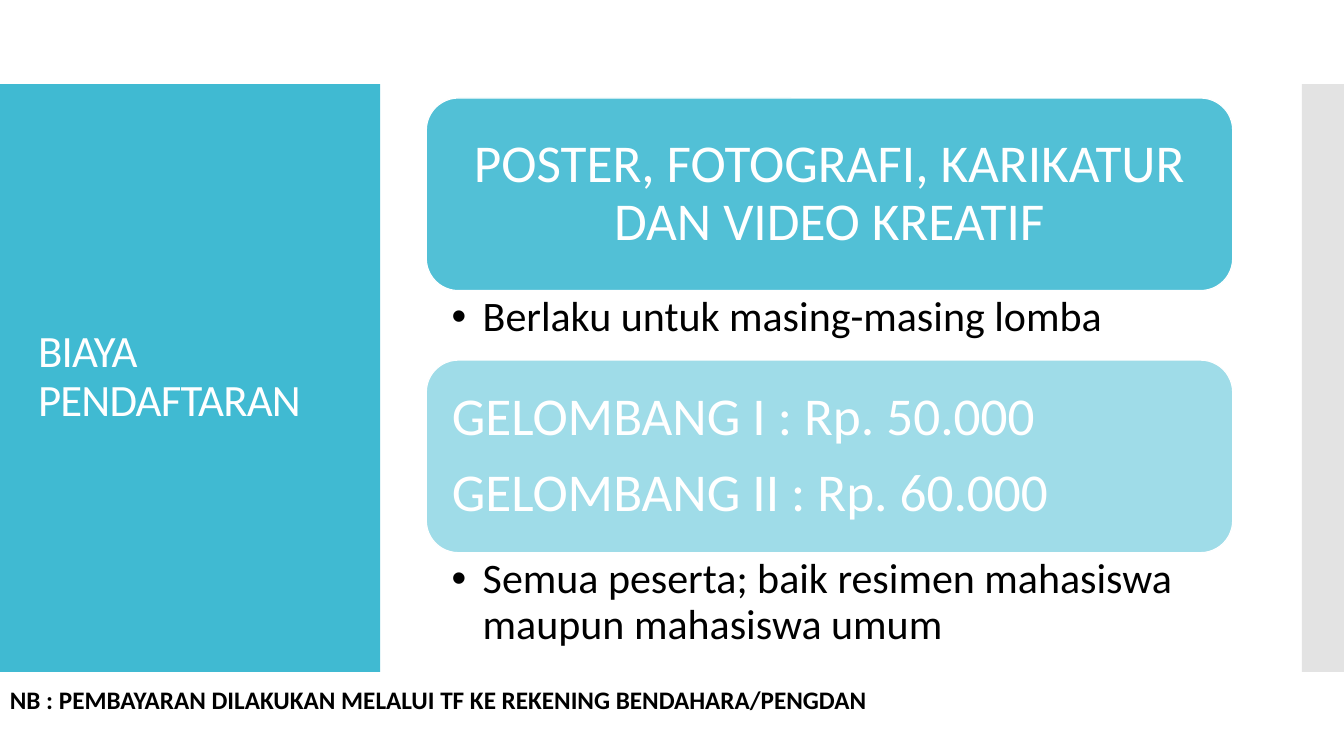
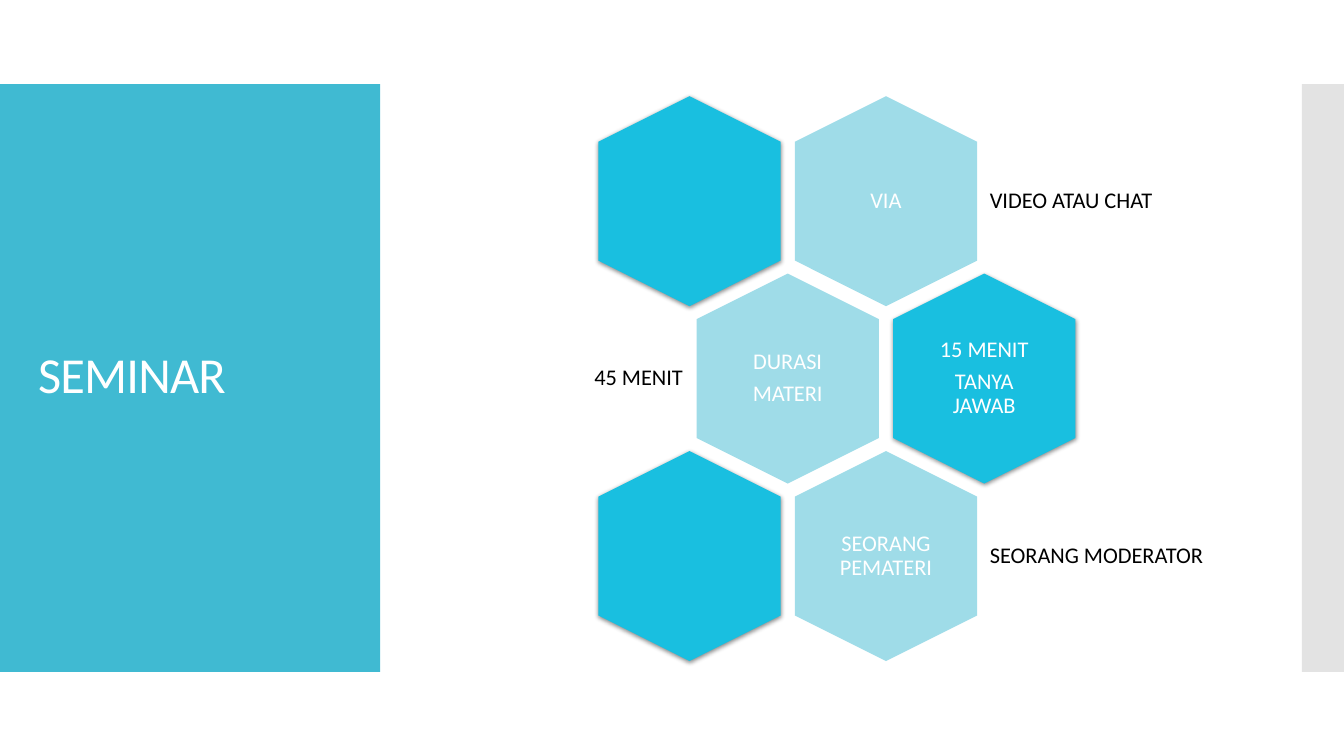
from lxml import etree
from pptx import Presentation
from pptx.dml.color import RGBColor
from pptx.enum.shapes import MSO_SHAPE
from pptx.enum.text import MSO_ANCHOR, PP_ALIGN
from pptx.oxml.ns import qn
from pptx.util import Inches, Pt

RECT, ROUND, HEX = MSO_SHAPE.RECTANGLE, MSO_SHAPE.ROUNDED_RECTANGLE, MSO_SHAPE.HEXAGON
TOP, MIDDLE = MSO_ANCHOR.TOP, MSO_ANCHOR.MIDDLE
LEFT, CENTER, RIGHT = PP_ALIGN.LEFT, PP_ALIGN.CENTER, PP_ALIGN.RIGHT
COLORS = {"teal": "40BAD2", "cyan": "19BFE0", "gray": "C8C8C8",
          "white": "FFFFFF", "black": "000000"}
FONT = "Calibri"
COLS, ROWS = 64, 36


class Deck:
    def __init__(self):
        self.show = Presentation()
        self.show.slide_width = Inches(13.333)
        self.show.slide_height = Inches(7.5)
        self.slide = None

    def place(self, x, y, w, h):
        col = self.show.slide_width / COLS
        row = self.show.slide_height / ROWS
        return round(x * col), round(y * row), round(w * col), round(h * row)

    def page(self, title, size):
        self.slide = self.show.slides.add_slide(self.show.slide_layouts[6])
        self.shape(RECT, (0, 4, 18.1, 28), "teal")
        self.shape(RECT, (62, 4, 2, 28), "gray", 50)
        self.text((1.34, 5.9, 15.46, 24.14), [title], size, "white", track=-60)

    def shape(self, kind, area, color, alpha=100):
        item = self.slide.shapes.add_shape(kind, *self.place(*area))
        item.shadow.inherit = False
        item.fill.solid()
        item.fill.fore_color.rgb = RGBColor.from_string(COLORS[color])
        if alpha < 100:
            tint = item.element.spPr.find(f".//{qn('a:srgbClr')}")
            etree.SubElement(tint, qn("a:alpha"), val=str(alpha * 1000))
        item.line.fill.background()
        return item

    def text(self, area, lines, size, color, **style):
        box = self.slide.shapes.add_textbox(*self.place(*area))
        self.label(box.text_frame, lines, size, color, **style)

    def label(self, frame, lines, size, color, align=LEFT, anchor=MIDDLE,
              inset=(0.1, 0.05, 0.1, 0.05), lead=0.9, after=0, bold=False,
              track=0, bullet=False):
        frame.word_wrap = True
        frame.vertical_anchor = anchor
        (frame.margin_left, frame.margin_top,
         frame.margin_right, frame.margin_bottom) = map(Inches, inset)
        frame.text = "\n".join(lines)
        for para in frame.paragraphs:
            para.alignment = align
            para.line_spacing = lead
            para.space_after = Pt(round(size * after, 1))
            if bullet:
                self.bullet(para)
            for run in para.runs:
                font = run.font
                font.name, font.size, font.bold = FONT, Pt(size), bold
                font.color.rgb = RGBColor.from_string(COLORS[color])
                if track:
                    run._r.get_or_add_rPr().set("spc", str(track))

    def bullet(self, para):
        props = para._p.get_or_add_pPr()
        props.set("marL", str(Inches(0.31)))
        props.set("indent", str(-Inches(0.31)))
        etree.SubElement(props, qn("a:buFont"), typeface="Arial")
        etree.SubElement(props, qn("a:buChar"), char="•")

    def panel(self, y, lines, alpha, align):
        item = self.shape(ROUND, (20.3, y, 38.4, 9.17), "teal", alpha)
        item.line.color.rgb = RGBColor.from_string(COLORS["white"])
        item.line.width = Pt(0.85)
        self.label(item.text_frame, lines, 38, "white", align=align,
                   inset=(0.16,) * 4, after=0.35)

    def note(self, y, line):
        self.text((20.3, y, 38.4, 4), [line], 30, "black", anchor=TOP,
                  inset=(0.25, 0.05, 0.3, 0.05), after=0.2, bullet=True)

    def glow(self, item):
        effect = item.element.spPr.find(qn("a:effectLst"))
        cast = etree.SubElement(effect, qn("a:outerShdw"), blurRad=str(Pt(3.5)),
                                dist=str(Pt(1.1)), dir="5400000", rotWithShape="0")
        tint = etree.SubElement(cast, qn("a:srgbClr"), val=COLORS["black"])
        etree.SubElement(tint, qn("a:alpha"), val="45000")

    def cell(self, col, row, lines, pale, side="", align=LEFT):
        x = 32.83 + 9.36 * (col + row % 2 / 2)
        y = 9.58 + 8.45 * row
        area = (x - 5, y - 4.34, 10, 8.68)
        item = self.shape(HEX, area, "teal" if pale else "cyan", 50 if pale else 100)
        item.rotation = 90
        if not pale:
            self.glow(item)
        style = {"inset": (0.07,) * 4, "after": 0.35}
        if lines:
            self.text((x - 2.98, y - 3.43, 5.96, 6.86), lines, 16, "white",
                      align=CENTER, **style)
        if side:
            start = x + 4.61 if align == LEFT else x - 15.75
            self.text((start, y - 3, 11.1, 6), [side], 16, "black",
                      align=align, **style)


def main():
    deck = Deck()
    deck.page("BIAYA PENDAFTARAN", 32)
    parts = [
        (["POSTER, FOTOGRAFI, KARIKATUR DAN VIDEO KREATIF"], 90, CENTER,
         "Berlaku untuk masing-masing lomba"),
        (["GELOMBANG I : Rp. 50.000", "GELOMBANG II : Rp. 60.000"], 50, LEFT,
         "Semua peserta; baik resimen mahasiswa maupun mahasiswa umum"),
    ]
    for i, (lines, alpha, align, note) in enumerate(parts):
        y = 4.67 + 12.48 * i
        deck.panel(y, lines, alpha, align)
        deck.note(y + 9.17, note)
    deck.text((0, 32.35, COLS, 1.94),
              ["NB : PEMBAYARAN DILAKUKAN MELALUI TF KE REKENING BENDAHARA/PENGDAN"],
              18, "black", anchor=TOP, lead=1, bold=True)

    deck.page("SEMINAR", 36)
    cells = [
        (1, 0, ["VIA"], True, "VIDEO ATAU CHAT"),
        (0, 0, [], False),
        (0, 1, ["DURASI", "MATERI"], True, "45 MENIT", RIGHT),
        (1, 1, ["15 MENIT", "TANYA JAWAB"], False),
        (1, 2, ["SEORANG PEMATERI"], True, "SEORANG MODERATOR"),
        (0, 2, [], False),
    ]
    for cell in cells:
        deck.cell(*cell)
    deck.show.save("out.pptx")


if __name__ == "__main__":
    main()
